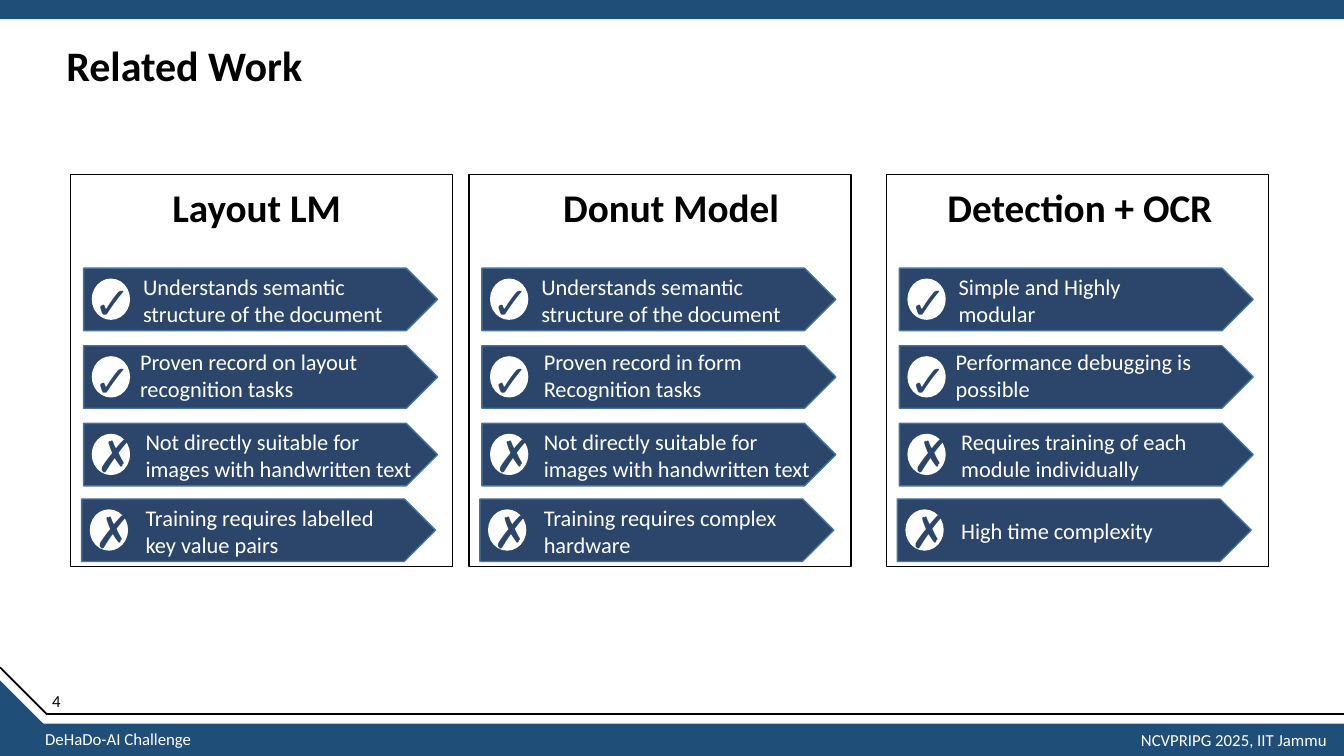
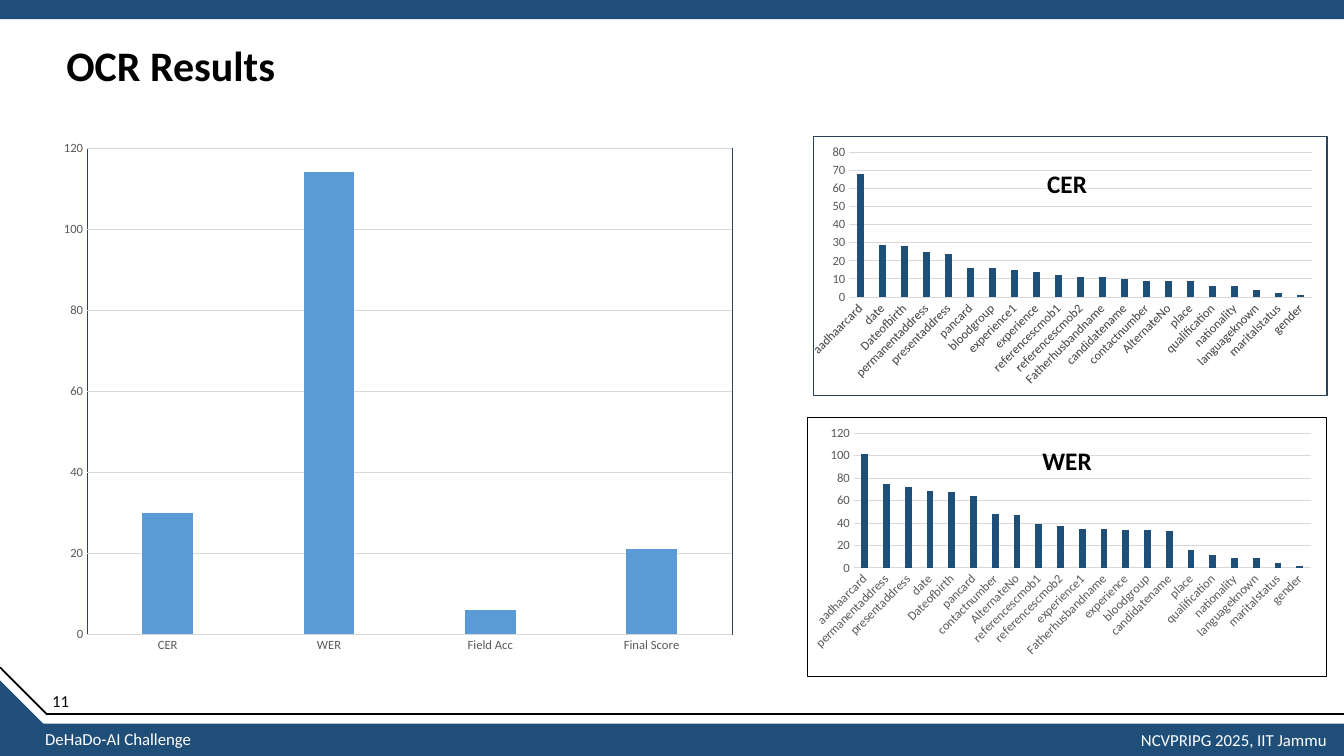
from lxml import etree
from pptx import Presentation
from pptx import util as u
from pptx.chart import data as chart_data
from pptx.dml import color as dml
from pptx.enum import chart as charts
from pptx.enum import shapes, text
from pptx.oxml import ns

COLUMNS, ROWS = 160, 90  # square cells, twelve to the inch
CELL = u.Inches(1 / 12)

FONT = "Calibri"
BLACK, WHITE, GREY, PALE = "000000", "FFFFFF", "595959", "D9D9D9"
BAND, NAVY, EDGE, FRAME, SKY = "1F4E79", "2C466B", "43739E", "28445D", "5B9BD5"

KIND = shapes.MSO_SHAPE
ALIGN = text.PP_ALIGN
ANCHOR = text.MSO_ANCHOR


def rgb(value):
    return dml.RGBColor.from_string(value)


def cells(*values):
    return [round(value * CELL) for value in values]


def child(parent, tag, **attributes):
    return etree.SubElement(parent, ns.qn(tag), **attributes)


def outline(color, points):
    """Chart shape properties holding only a line."""
    properties = etree.Element(ns.qn("c:spPr"))
    line = child(properties, "a:ln", w=str(u.Pt(points)))
    child(child(line, "a:solidFill"), "a:srgbClr", val=color)
    return properties


class Deck:
    def __init__(self):
        self.presentation = Presentation()
        self.presentation.slide_width = u.Inches(13.33)
        self.presentation.slide_height = u.Inches(7.5)
        self.slide = None

    def new_slide(self, title, number):
        """Start a slide with the shared bands, title and footer."""
        layout = self.presentation.slide_layouts[6]
        self.slide = self.presentation.slides.add_slide(layout)
        self.shape(KIND.RECTANGLE, 0, 86.16, COLUMNS, 3.84, BAND)
        self.shape(KIND.RECTANGLE, 0, 0, COLUMNS, 2.28, BAND)
        corner = self.shape(KIND.ISOSCELES_TRIANGLE, 0, 81, 5.64, 5.64, BAND)
        corner.adjustments[0] = 1
        corner.rotation = 90
        self.line(5.64, 85, COLUMNS, 85)
        self.line(0, 79.44, 5.64, 85.08)
        self.text(6.72, 4.8, 142.3, 6.6, [title], 30, bold=True,
                  anchor=ANCHOR.MIDDLE, spacing=0.9)
        self.text(4.2, 86.16, 24, 3.6, ["DeHaDo-AI Challenge"], 12, WHITE)
        self.text(131, 86.28, 28.12, 3.6, ["NCVPRIPG 2025, IIT Jammu"], 12,
                  WHITE, align=ALIGN.RIGHT)
        self.text(5.04, 81.6, 4.8, 3.6, [number], 12)

    def shape(self, kind, left, top, width, height, fill=None, line=None):
        shape = self.slide.shapes.add_shape(
            kind, *cells(left, top, width, height))
        shape.shadow.inherit = False
        if fill:
            shape.fill.solid()
            shape.fill.fore_color.rgb = rgb(fill)
        else:
            shape.fill.background()
        if line:
            shape.line.color.rgb = rgb(line)
            shape.line.width = u.Pt(1)
        else:
            shape.line.fill.background()
        return shape

    def line(self, x1, y1, x2, y2):
        connector = self.slide.shapes.add_connector(
            shapes.MSO_CONNECTOR.STRAIGHT, *cells(x1, y1, x2, y2))
        connector.line.color.rgb = rgb(BLACK)
        connector.line.width = u.Pt(1.25)
        child(connector._element.spPr, "a:effectLst")

    def text(self, left, top, width, height, lines, size, color=BLACK,
             bold=False, align=ALIGN.LEFT, anchor=ANCHOR.TOP, spacing=None):
        box = self.slide.shapes.add_textbox(*cells(left, top, width, height))
        frame = box.text_frame
        frame.word_wrap = True
        frame.vertical_anchor = anchor
        for index, line in enumerate(lines):
            paragraph = frame.paragraphs[0] if index == 0 else frame.add_paragraph()
            paragraph.alignment = align
            if spacing:
                paragraph.line_spacing = spacing
            run = paragraph.add_run()
            run.text = line
            run.font.name = FONT
            run.font.size = u.Pt(size)
            run.font.bold = bold
            run.font.color.rgb = rgb(color)

    def card(self, left, heading, heading_shift, indents, points):
        """A framed list of arrows; the first two are merits, the rest limits."""
        top = 20.76
        self.shape(KIND.RECTANGLE, left, top, 45.48, 46.68, line=BLACK)
        self.text(left + heading_shift, top + 0.48, 45.48, 6.84, [heading], 28,
                  bold=True, align=ALIGN.CENTER)
        for row, (indent, lines) in enumerate(zip(indents, points)):
            nudge = 0.24 if row == 3 else 0
            x = left + 1.56 - nudge
            y = top + 11.16 + 9.24 * row - nudge
            merit = row < 2
            self.shape(KIND.PENTAGON, x, y, 42.12, 7.44, NAVY, EDGE)
            self.shape(KIND.FLOWCHART_CONNECTOR, x + 0.96, y + 1.24, 4.56, 4.92,
                       WHITE)
            self.text(x + (0 if merit else 0.36), y + (0.24 if merit else -0.06),
                      20.4, 7.68, ["✓" if merit else "✗"], 32, NAVY)
            self.text(left + indent, y - (0.36 if row == 1 else 0.06), 38, 7.68,
                      lines, 16, WHITE, anchor=ANCHOR.MIDDLE)

    def column_chart(self, place, values, color, top_value, step, plot_box,
                     border=None, plot_border=None, slanted=False):
        data = chart_data.CategoryChartData()
        data.categories = list(values)
        data.add_series("Series 1", list(values.values()))
        chart = self.slide.shapes.add_chart(
            charts.XL_CHART_TYPE.COLUMN_CLUSTERED, *cells(*place), data).chart
        chart.has_legend = False
        chart.has_title = False
        chart.font.name = FONT
        chart.font.size = u.Pt(10)
        chart.font.color.rgb = rgb(BLACK)

        # Columns
        plot = chart.plots[0]
        plot.gap_width, plot.overlap = 219, -27
        plot.vary_by_categories = False
        fill = plot.series[0].format.fill
        fill.solid()
        fill.fore_color.rgb = rgb(color)

        # Axes
        category, value = chart.category_axis, chart.value_axis
        for axis in (category, value):
            axis.major_tick_mark = axis.minor_tick_mark = charts.XL_TICK_MARK.NONE
            font = axis.tick_labels.font
            font.name, font.size = FONT, u.Pt(9)
            font.color.rgb = rgb(GREY)
        value.minimum_scale, value.maximum_scale = 0, top_value
        value.major_unit = step
        value.has_major_gridlines = True
        value.format.line.fill.background()
        for line in (category.format.line, value.major_gridlines.format.line):
            line.color.rgb = rgb(PALE)
            line.width = u.Pt(0.75)
        if slanted:
            body = category._element.find(
                f"{ns.qn('c:txPr')}/{ns.qn('a:bodyPr')}")
            body.set("rot", "-2700000")
            body.set("vert", "horz")

        # Plot position and frames
        root = chart._chartSpace.find(ns.qn("c:chart"))
        area = root.find(ns.qn("c:plotArea"))
        layout = area.find(ns.qn("c:layout"))
        if layout is not None:
            area.remove(layout)
        layout = etree.Element(ns.qn("c:layout"))
        manual = child(layout, "c:manualLayout")
        child(manual, "c:layoutTarget", val="inner")
        for name in "xy":
            child(manual, f"c:{name}Mode", val="edge")
        for name, share in zip("xywh", plot_box):
            child(manual, f"c:{name}", val=str(share))
        area.insert(0, layout)
        if plot_border:
            area.append(outline(plot_border, 0.75))
        if border:
            root.addnext(outline(border, 0.75))


CARDS = [
    (8.4, "Layout LM", -0.6, (7.44, 7.08, 7.74, 7.74), [
        ["Understands semantic", "structure of the document"],
        ["Proven record on layout", "recognition tasks"],
        ["Not directly suitable for", "images with handwritten text"],
        ["Training requires labelled", "key value pairs"]]),
    (55.8, "Donut Model", 1.32, (7.44, 7.74, 7.74, 7.74), [
        ["Understands semantic", "structure of the document"],
        ["Proven record in form", "Recognition tasks"],
        ["Not directly suitable for", "images with handwritten text"],
        ["Training requires complex", "hardware"]]),
    (105.48, "Detection + OCR", 0.3, (7.44, 7.08, 7.74, 7.74), [
        ["Simple and Highly", "modular"],
        ["Performance debugging is", "possible"],
        ["Requires training of each", "module individually"],
        ["High time complexity"]]),
]

OVERALL = {"CER": 30, "WER": 114, "Field Acc": 6, "Final Score": 21}

CER_BY_FIELD = {
    "aadhaarcard": 68, "date": 29, "Dateofbirth": 28, "permanentaddress": 25,
    "presentaddress": 24, "pancard": 16, "bloodgroup": 16, "experience1": 15,
    "experience": 14, "referencescmob1": 12, "referencescmob2": 11,
    "Fatherhusbandname": 11, "candidatename": 10, "contactnumber": 9,
    "AlternateNo": 9, "place": 9, "qualification": 6, "nationality": 6,
    "languageknown": 4, "maritalstatus": 2, "gender": 1}

WER_BY_FIELD = {
    "aadhaarcard": 102, "permanentaddress": 75, "presentaddress": 72,
    "date": 69, "Dateofbirth": 68, "pancard": 64, "contactnumber": 48,
    "AlternateNo": 47, "referencescmob1": 39, "referencescmob2": 37,
    "experience1": 35, "Fatherhusbandname": 35, "experience": 34,
    "bloodgroup": 34, "candidatename": 33, "place": 16, "qualification": 12,
    "nationality": 9, "languageknown": 9, "maritalstatus": 4, "gender": 2}


def main():
    deck = Deck()

    # Related work: three approaches side by side
    deck.new_slide("Related Work", "4")
    for card in CARDS:
        deck.card(*card)

    # OCR results: overall scores and errors by field
    deck.new_slide("OCR Results", "11")
    deck.column_chart((6.24, 15.72, 82.56, 63.6), OVERALL, SKY, 120, 20,
                      (0.05, 0.03, 0.93, 0.91), plot_border=FRAME)
    deck.column_chart((96.4, 16.2, 61.6, 30.96), CER_BY_FIELD, BAND, 80, 10,
                      (0.07, 0.06, 0.9, 0.56), border=FRAME, slanted=True)
    deck.column_chart((96, 49.68, 61.92, 30.96), WER_BY_FIELD, BAND, 120, 20,
                      (0.09, 0.06, 0.88, 0.52), border=BLACK, slanted=True)
    for label, top in (("CER", 19.44), ("WER", 52.44)):
        deck.text(120, top, 14, 4.8, [label], 18, bold=True, align=ALIGN.CENTER)

    deck.presentation.save("out.pptx")


if __name__ == "__main__":
    main()
